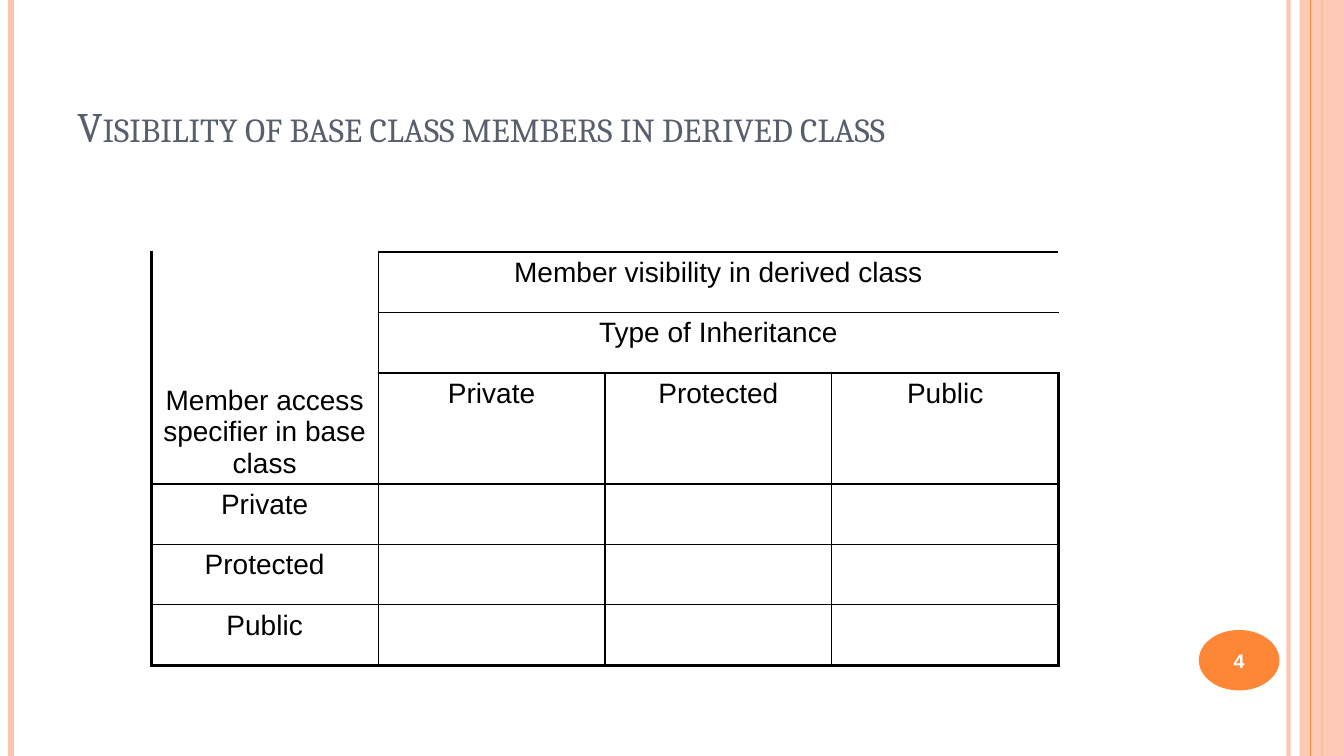
from lxml.etree import SubElement
from pptx import Presentation
from pptx.dml.color import RGBColor
from pptx.enum.shapes import MSO_CONNECTOR, MSO_SHAPE
from pptx.enum.text import MSO_ANCHOR, PP_ALIGN
from pptx.oxml.ns import qn
from pptx.util import Inches, Pt

ORANGE = RGBColor(0xFE, 0x86, 0x37)
PEACH = RGBColor(0xFE, 0xC3, 0xAE)
SLATE = RGBColor(0x57, 0x5F, 0x6D)
BLACK = RGBColor(0, 0, 0)
WHITE = RGBColor(0xFF, 0xFF, 0xFF)

SPECIFIERS = ["Private", "Protected", "Public"]
HEADER_ROWS = 3
ROWS = HEADER_ROWS + len(SPECIFIERS)
COLUMNS = 1 + len(SPECIFIERS)


def set_alpha(fill_parent, percent):
    color = fill_parent.find(".//" + qn("a:srgbClr"))
    SubElement(color, qn("a:alpha"), val=str(percent * 1000))


def add_vertical_rule(slide, x, height, color, width, opacity=100):
    rule = slide.shapes.add_connector(
        MSO_CONNECTOR.STRAIGHT, Inches(x), 0, Inches(x), Inches(height))
    rule.line.color.rgb = color
    rule.line.width = Pt(width)
    properties = rule._element.spPr
    if opacity < 100:
        set_alpha(properties, opacity)
    SubElement(properties, qn("a:effectLst"))


def add_plain_shape(slide, kind, left, top, width, height, color):
    shape = slide.shapes.add_shape(
        kind, Inches(left), Inches(top), Inches(width), Inches(height))
    shape.shadow.inherit = False
    shape.fill.solid()
    shape.fill.fore_color.rgb = color
    shape.line.fill.background()
    return shape


def style_paragraph(paragraph, font_name, size, color):
    paragraph.font.name = font_name
    paragraph.font.size = Pt(size)
    paragraph.font.color.rgb = color


def add_side_bands(slide, width, height):
    add_vertical_rule(slide, width - 0.55, height, PEACH, 3, 93)
    add_vertical_rule(slide, 0.11, height, PEACH, 4.5)
    add_vertical_rule(slide, width - 0.22, height, ORANGE, 1.5)
    band = add_plain_shape(
        slide, MSO_SHAPE.RECTANGLE, width - 0.44, 0, 0.44, height, PEACH)
    set_alpha(band._element.spPr, 87)
    add_vertical_rule(slide, width - 0.33, height, ORANGE, 0.75)


def add_page_number(slide, left, top, width, height, number):
    badge = add_plain_shape(
        slide, MSO_SHAPE.OVAL, left, top, width, height, ORANGE)
    frame = badge.text_frame
    frame.text = number
    frame.vertical_anchor = MSO_ANCHOR.MIDDLE
    paragraph = frame.paragraphs[0]
    paragraph.alignment = PP_ALIGN.CENTER
    style_paragraph(paragraph, "Arial", 14, WHITE)
    paragraph.font.bold = True


def add_title(slide, left, top, width, height, text):
    frame = slide.shapes.add_textbox(
        Inches(left), Inches(top), Inches(width), Inches(height)).text_frame
    frame.word_wrap = True
    frame.vertical_anchor = MSO_ANCHOR.BOTTOM
    frame.text = text
    paragraph = frame.paragraphs[0]
    style_paragraph(paragraph, "Cambria", 30, SLATE)
    paragraph.runs[0].font._element.set("cap", "small")


def merged_region(row, column):
    if column == 0 and row < HEADER_ROWS:
        return 0, 0
    if column > 0 and row < HEADER_ROWS - 1:
        return row, 1
    return row, column


def add_cell_borders(cell, row, column):
    neighbours = {
        "a:lnL": (row, column - 1),
        "a:lnR": (row, column + 1),
        "a:lnT": (row - 1, column),
        "a:lnB": (row + 1, column),
    }
    properties = cell._tc.get_or_add_tcPr()
    for tag, (next_row, next_column) in neighbours.items():
        if merged_region(next_row, next_column) == merged_region(row, column):
            continue
        inside = 0 <= next_row < ROWS and 0 <= next_column < COLUMNS
        border = SubElement(
            properties, qn(tag), w=str(Pt(1 if inside else 2.25)))
        fill = SubElement(border, qn("a:solidFill"))
        SubElement(fill, qn("a:srgbClr"), val=str(BLACK))


def add_visibility_table(slide, left, top, width, height):
    table = slide.shapes.add_table(
        ROWS, COLUMNS, Inches(left), Inches(top),
        Inches(width), Inches(height)).table
    table.first_row = False
    table.horz_banding = False

    table.cell(0, 0).merge(table.cell(HEADER_ROWS - 1, 0))
    for row in range(HEADER_ROWS - 1):
        table.cell(row, 1).merge(table.cell(row, COLUMNS - 1))

    table.cell(0, 0).text = "Member access specifier in base class"
    table.cell(0, 0).vertical_anchor = MSO_ANCHOR.BOTTOM
    table.cell(0, 1).text = "Member visibility in derived class"
    table.cell(1, 1).text = "Type of Inheritance"
    for index, specifier in enumerate(SPECIFIERS):
        table.cell(HEADER_ROWS - 1, 1 + index).text = specifier
        table.cell(HEADER_ROWS + index, 0).text = specifier

    for row in range(ROWS):
        for column in range(COLUMNS):
            cell = table.cell(row, column)
            add_cell_borders(cell, row, column)
            cell.fill.background()
            paragraph = cell.text_frame.paragraphs[0]
            paragraph.alignment = PP_ALIGN.CENTER
            style_paragraph(paragraph, "Arial", 20, BLACK)


def main():
    presentation = Presentation()
    presentation.slide_width = Inches(13.33)
    presentation.slide_height = Inches(7.5)
    slide = presentation.slides.add_slide(presentation.slide_layouts[6])
    add_side_bands(slide, 13.33, 7.5)
    add_page_number(slide, 11.89, 6.25, 0.8, 0.6, "4")
    add_title(slide, 0.67, 0.3, 11.22, 1.25,
              "Visibility of base class members in derived class")
    add_visibility_table(slide, 1.5, 2.5, 9, 3.6)
    presentation.save("out.pptx")


if __name__ == "__main__":
    main()
